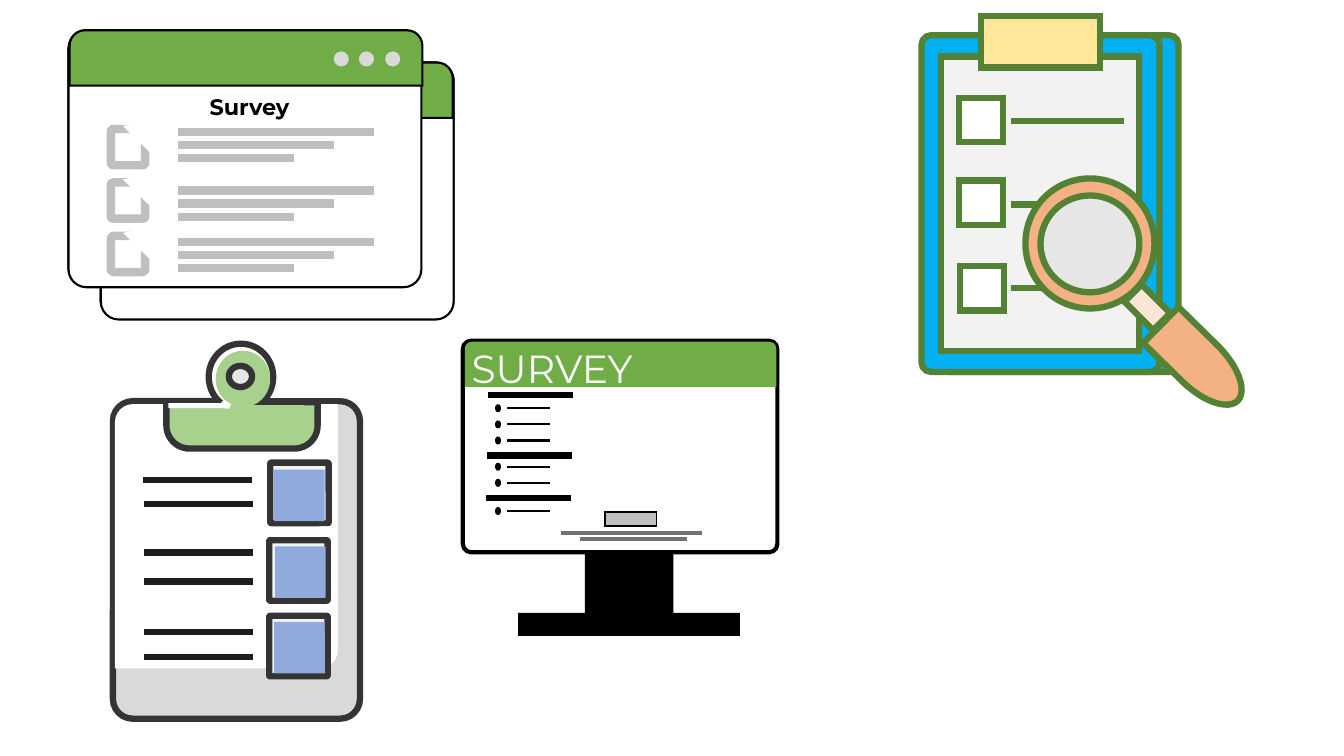
"""Build a slide with four survey illustrations."""
from lxml import etree
from pptx import Presentation
from pptx.dml.color import RGBColor
from pptx.enum import shapes, text
from pptx.oxml.ns import qn
from pptx.util import Emu, Pt

WINDOW_TITLE = "Survey"
MONITOR_TITLE = "SURVEY"
FONT = "Montserrat"

CHECKLIST_BOXES = [(951, 97), (951, 179), (952, 264)]
CHECKLIST_LINES = [120, 203, 286]
CLIPBOARD_BOXES = [((268, 459), (272, 466)), ((267, 536), (273, 542)), ((267, 611), (272, 617))]
CLIPBOARD_LINES = [(142, 476), (143, 500), (143, 548), (143, 577), (143, 627), (143, 652)]
MONITOR_SECTIONS = [(484, 392, 405, 3), (483, 452, 463, 2), (482, 494, 507, 1)]
MONITOR_FOOTER = [(556, 529, 696), (575, 535, 681)]
WINDOW_PAGES = [(100, 62), (68, 30), (100, 63)]
WINDOW_ROWS = [131, 189, 240]
WINDOW_LINE_ENDS = [371, 331, 292]
WINDOW_TICKS = [(128, 0.078), (181, 0.078), (234, 0.096)]
WINDOW_DOTS = [331, 356, 382]

BLACK = RGBColor(0x00, 0x00, 0x00)
WHITE = RGBColor(0xFF, 0xFF, 0xFF)
GREEN = RGBColor(0x70, 0xAD, 0x47)
DARK_GREEN = RGBColor(0x54, 0x82, 0x35)
LIGHT_GREEN = RGBColor(0xA9, 0xD1, 0x8E)
BLUE = RGBColor(0x00, 0xB0, 0xF0)
SOFT_BLUE = RGBColor(0x8F, 0xAA, 0xDC)
YELLOW = RGBColor(0xFF, 0xE6, 0x99)
ORANGE = RGBColor(0xF4, 0xB1, 0x83)
PEACH = RGBColor(0xFB, 0xE5, 0xD6)
PALE = RGBColor(0xF2, 0xF2, 0xF2)
LENS = RGBColor(0xE7, 0xE6, 0xE6)
LIGHT_GRAY = RGBColor(0xD9, 0xD9, 0xD9)
GRAY = RGBColor(0xBF, 0xBF, 0xBF)
MID_GRAY = RGBColor(0x76, 0x71, 0x71)
CHARCOAL = RGBColor(0x34, 0x34, 0x34)
INK = RGBColor(0x1E, 0x1E, 0x1E)

S = shapes.MSO_SHAPE
ROUND, RECT, OVAL, TOP = S.ROUNDED_RECTANGLE, S.RECTANGLE, S.OVAL, S.ROUND_2_SAME_RECTANGLE


def px(n):
    return Emu(n * 9144)


def add_shape(group, kind, box, fill, line=None, weight=4.5, adj=(), rot=0):
    sp = group.shapes.add_shape(kind, *map(px, box))
    sp.shadow.inherit = False
    sp.rotation = rot
    for i, value in enumerate(adj):
        sp.adjustments[i] = value
    sp.fill.solid()
    sp.fill.fore_color.rgb = fill
    if line is None:
        sp.line.fill.background()
    else:
        sp.line.color.rgb = line
        sp.line.width = Pt(weight)
        ln = sp._element.spPr.find(qn("a:ln"))
        etree.SubElement(ln, qn("a:miter"), lim="800000")


def add_rule(group, x1, y, x2, color, weight=4.5):
    cxn = group.shapes.add_connector(shapes.MSO_CONNECTOR.STRAIGHT, px(x1), px(y), px(x2), px(y))
    cxn.line.color.rgb = color
    cxn.line.width = Pt(weight)
    etree.SubElement(cxn._element.spPr, qn("a:effectLst"))


def add_label(group, box, words, size, color, bold=False):
    tf = group.shapes.add_textbox(*map(px, box)).text_frame
    tf.word_wrap = True
    tf.auto_size = text.MSO_AUTO_SIZE.SHAPE_TO_FIT_TEXT
    r = tf.paragraphs[0].add_run()
    r.text = words
    r.font.name, r.font.size, r.font.bold = FONT, Pt(size), bold
    r.font.color.rgb = color


def draw_checklist(g):
    for x in (933, 914):
        add_shape(g, ROUND, (x, 35, 236, 334), BLUE, DARK_GREEN, adj=[0.04])
    add_shape(g, RECT, (933, 56, 197, 292), PALE, DARK_GREEN)
    add_shape(g, RECT, (973, 16, 118, 51), YELLOW, DARK_GREEN)
    for x, y in CHECKLIST_BOXES:
        add_shape(g, RECT, (x, y, 44, 44), WHITE, DARK_GREEN)
    for y in CHECKLIST_LINES:
        add_rule(g, 1003, y, 1115, DARK_GREEN)
    add_shape(g, OVAL, (1017, 177, 128, 129), ORANGE, DARK_GREEN)
    add_shape(g, OVAL, (1032, 194, 98, 96), LENS, DARK_GREEN)
    add_shape(g, S.FLOWCHART_DELAY, (1136, 335, 107, 50), ORANGE, DARK_GREEN, rot=44.5)
    add_shape(g, RECT, (1118, 293, 40, 24), PEACH, DARK_GREEN, rot=44.9)


def draw_clipboard(g):
    add_shape(g, ROUND, (112, 398, 245, 315), LIGHT_GRAY, CHARCOAL, adj=[0.08])
    add_shape(g, S.ROUND_2_DIAG_RECTANGLE, (114, 401, 221, 262), WHITE, adj=[0.08, 0])
    add_shape(g, TOP, (165, 399, 150, 46), LIGHT_GREEN, CHARCOAL, adj=[0.5, 0], rot=180)
    add_shape(g, OVAL, (207, 341, 64, 66), WHITE, CHARCOAL)
    add_shape(g, RECT, (181, 402, 121, 37), LIGHT_GREEN)
    for frame, inside in CLIPBOARD_BOXES:
        add_shape(g, ROUND, (*frame, 58, 60), PALE, CHARCOAL, adj=[0.02])
        add_shape(g, RECT, (*inside, 50, 51), SOFT_BLUE)
    add_shape(g, OVAL, (214, 348, 54, 56), LIGHT_GREEN)
    add_shape(g, OVAL, (227, 363, 23, 21), LENS, CHARCOAL)
    for x, y in CLIPBOARD_LINES:
        add_rule(g, x, y, x + 108, INK)
    add_shape(g, RECT, (167, 400, 59, 5), WHITE)
    add_shape(g, OVAL, (219, 398, 10, 7), WHITE, rot=35.7)


def draw_monitor(g):
    add_shape(g, ROUND, (459, 338, 312, 210), WHITE, BLACK, 3, [0.04])
    add_shape(g, RECT, (580, 549, 88, 59), BLACK)
    add_shape(g, RECT, (514, 608, 220, 23), BLACK)
    add_shape(g, RECT, (600, 508, 51, 14), GRAY, BLACK, 1)
    for x1, y, x2 in MONITOR_FOOTER:
        add_rule(g, x1, y, x2, MID_GRAY, 3)
    add_shape(g, TOP, (461, 339, 309, 45), GREEN, adj=[0.15, 0])
    add_label(g, (458, 337, 242, 62), MONITOR_TITLE, 28, WHITE)
    for x, head, first, count in MONITOR_SECTIONS:
        add_rule(g, x, head, x + 84, BLACK)
        for i in range(count):
            y = first + 16 * i
            add_shape(g, OVAL, (491, y - 4, 6, 8), BLACK)
            add_rule(g, 503, y, 546, BLACK, 1.5)


def draw_window(g):
    for x, y in WINDOW_PAGES:
        add_shape(g, ROUND, (x, y, 350, 254), WHITE, BLACK, 1.5, [0.07])
    add_shape(g, TOP, (99, 62, 350, 55), GREEN, BLACK, 1.5, [0.28, 0])
    add_shape(g, ROUND, (68, 31, 350, 254), WHITE, BLACK, 1.5, [0.07])
    for y in WINDOW_ROWS:
        for i, end in enumerate(WINDOW_LINE_ENDS):
            add_rule(g, 177, y + 13 * i, end, GRAY, 6)
    for y, radius in WINDOW_TICKS:
        add_shape(g, ROUND, (110, y, 34, 36), WHITE, GRAY, 6, [radius])
        add_shape(g, S.ISOSCELES_TRIANGLE, (120, y - 18, 42, 39), WHITE, adj=[0.46], rot=288)
    add_shape(g, TOP, (69, 30, 350, 55), GREEN, BLACK, 1.5, [0.28, 0])
    for x in WINDOW_DOTS:
        add_shape(g, OVAL, (x, 51, 15, 15), LIGHT_GRAY)
    add_label(g, (198, 88, 104, 33), WINDOW_TITLE, 16, BLACK, True)


def main():
    prs = Presentation()
    prs.slide_width, prs.slide_height = px(1333), px(750)
    s = prs.slides.add_slide(prs.slide_layouts[6])
    for draw in (draw_checklist, draw_clipboard, draw_monitor, draw_window):
        draw(s.shapes.add_group_shape())
    prs.save("out.pptx")


if __name__ == "__main__":
    main()
